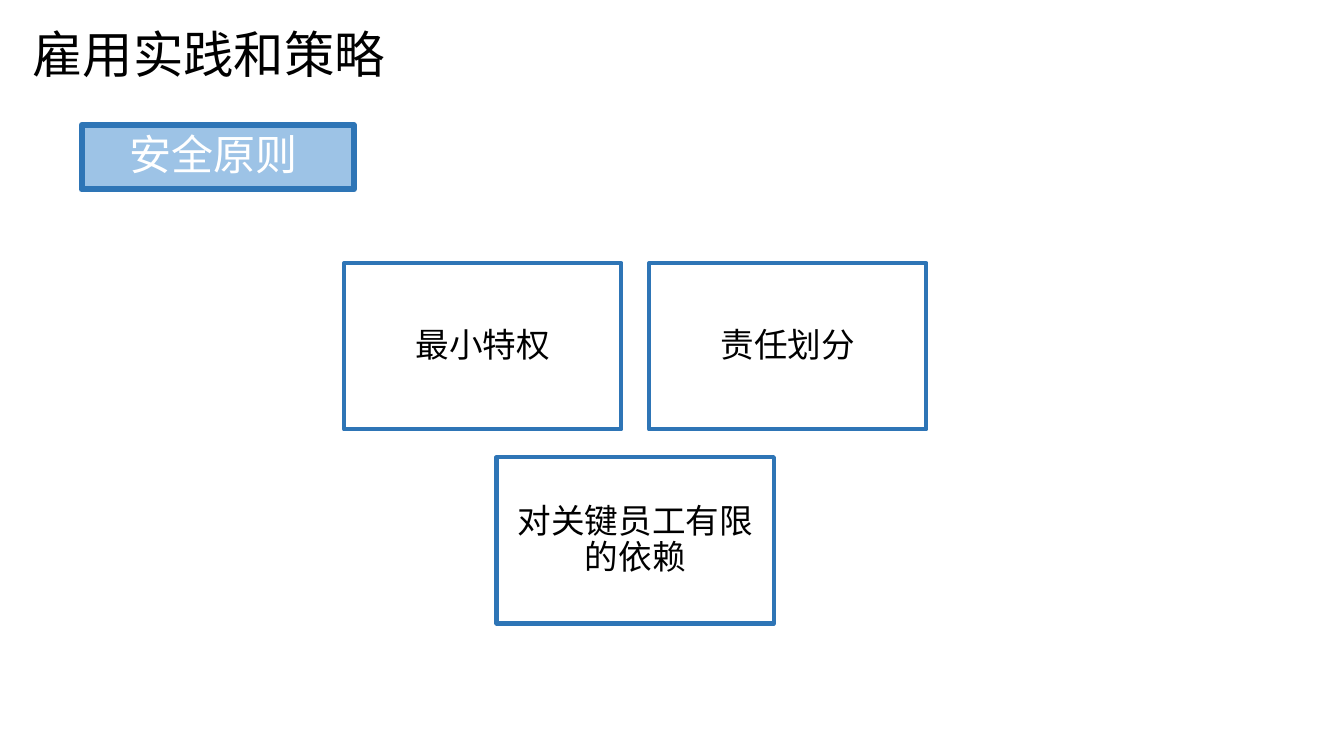
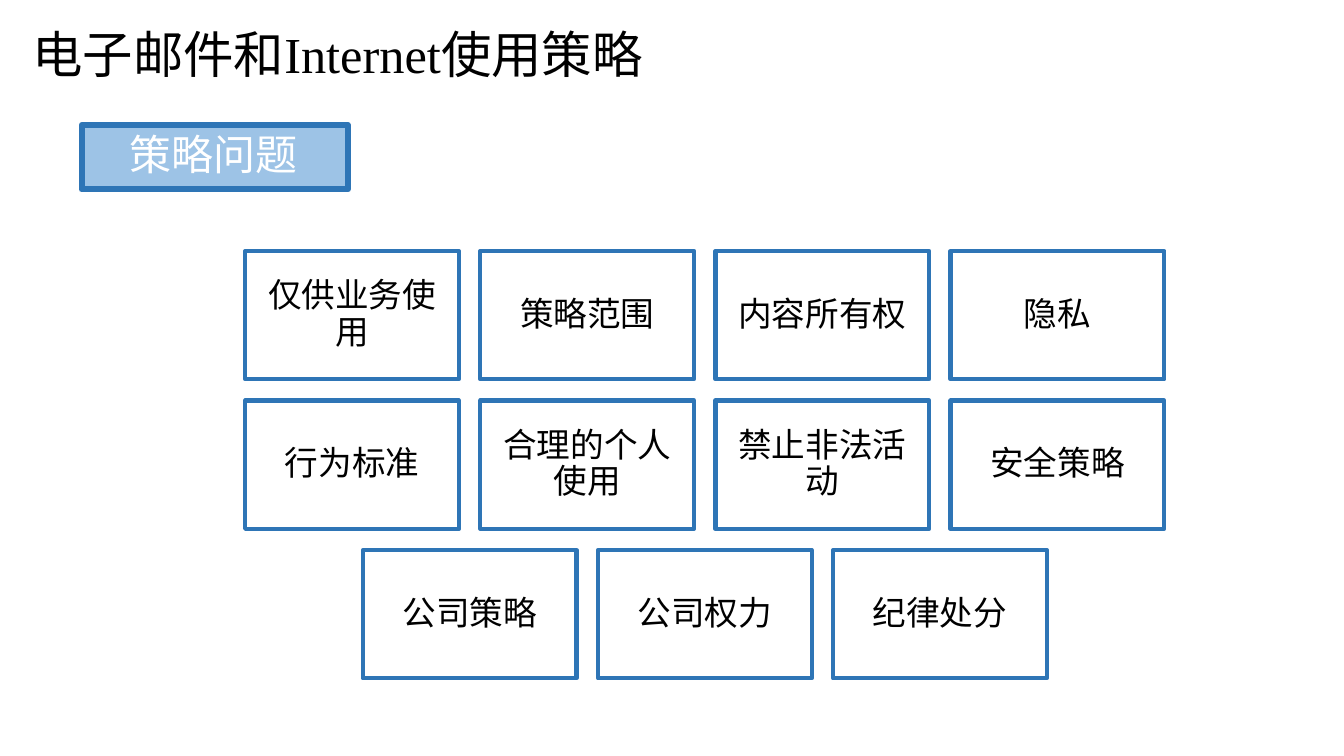
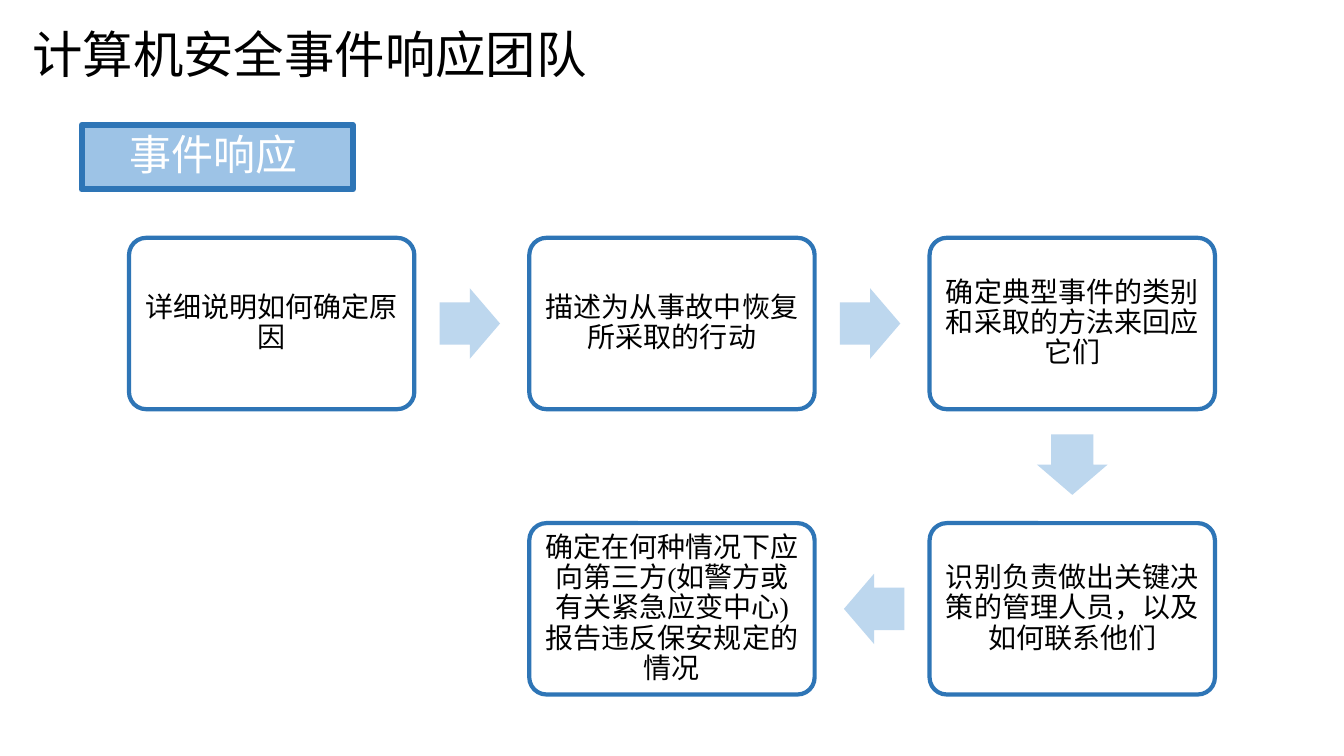
from dataclasses import dataclass

import pptx
import pptx.dml.color
import pptx.enum.shapes
import pptx.enum.text
import pptx.oxml
import pptx.oxml.ns
import pptx.presentation
import pptx.shapes.autoshape
import pptx.slide
import pptx.text.text
import pptx.util
from pptx.dml.color import RGBColor
from pptx.enum.shapes import MSO_SHAPE
from pptx.enum.text import PP_ALIGN
from pptx.util import Inches

BLACK = RGBColor(0x00, 0x00, 0x00)
WHITE = RGBColor(0xFF, 0xFF, 0xFF)
BORDER_BLUE = RGBColor(0x2E, 0x75, 0xB6)
BADGE_BLUE = RGBColor(0x9D, 0xC3, 0xE6)
ARROW_BLUE = RGBColor(0xBD, 0xD7, 0xEE)
LATIN_FONT = "Times New Roman"
CHINESE_FONT = "Noto Sans CJK SC"

ARROW_LENGTH, ARROW_BREADTH, ARROW_GAP = 0.6, 0.7, 0.25
STEP_WIDTH, STEP_HEIGHT = 2.83, 1.7
STEP_LEFT, STEP_TOP = 1.28, 2.36
STEP_PITCH_X, STEP_PITCH_Y = 3.97, 2.83


@dataclass(frozen=True)
class Heading:
    title: str
    title_width: float
    badge: str
    badge_width: float


@dataclass(frozen=True)
class TopicGrid:
    """Rows of topics, each row centred on the same axis."""
    rows: list[list[str]]
    center: float
    top: float
    box_width: float


@dataclass(frozen=True)
class Step:
    text: str
    column: int
    row: int


PRINCIPLES = TopicGrid([["最小特权", "责任划分"], ["对关键员工有限的依赖"]],
                       center=6.3, top=2.61, box_width=2.75)
POLICY_ISSUES = TopicGrid([
    ["仅供业务使用", "策略范围", "内容所有权", "隐私"],
    ["行为标准", "合理的个人使用", "禁止非法活动", "安全策略"],
    ["公司策略", "公司权力", "纪律处分"],
], center=6.99, top=2.49, box_width=2.12)
RESPONSE_STEPS = [
    Step("详细说明如何确定原因", 0, 0),
    Step("描述为从事故中恢复所采取的行动", 1, 0),
    Step("确定典型事件的类别和采取的方法来回应它们", 2, 0),
    Step("识别负责做出关键决策的管理人员，以及如何联系他们", 2, 1),
    Step("确定在何种情况下应向第三方(如警方或有关紧急应变中心)报告违反保安规定的情况", 1, 1),
]


def write(frame: pptx.text.text.TextFrame, text: str, size: float, color: RGBColor,
          align: PP_ALIGN, inset_x: float, inset_y: float, spacing: float = 0.9) -> None:
    frame.word_wrap = True
    frame.vertical_anchor = pptx.enum.text.MSO_ANCHOR.MIDDLE
    frame.margin_left = frame.margin_right = Inches(inset_x)
    frame.margin_top = frame.margin_bottom = Inches(inset_y)
    paragraph = frame.paragraphs[0]
    paragraph.alignment = align
    paragraph.line_spacing = spacing
    run = paragraph.add_run()
    run.text = text
    run.font.size = pptx.util.Pt(size)
    run.font.color.rgb = color
    run.font.name = LATIN_FONT
    east_asian = pptx.oxml.parse_xml(
        f'<a:ea {pptx.oxml.ns.nsdecls("a")} typeface="{CHINESE_FONT}"/>')
    run.font._element.append(east_asian)


def add_box(slide: pptx.slide.Slide, kind: MSO_SHAPE, left: float, top: float,
            width: float, height: float, fill: RGBColor | None = None,
            line_width: float = 0) -> pptx.shapes.autoshape.Shape:
    box = slide.shapes.add_shape(kind, Inches(left), Inches(top), Inches(width), Inches(height))
    box.shadow.inherit = False
    if fill is None:
        box.fill.background()
    else:
        box.fill.solid()
        box.fill.fore_color.rgb = fill
    if line_width:
        box.line.color.rgb = BORDER_BLUE
        box.line.width = pptx.util.Pt(line_width)
    else:
        box.line.fill.background()
    return box


def add_headed_slide(deck: pptx.presentation.Presentation, heading: Heading) -> pptx.slide.Slide:
    slide = deck.slides.add_slide(deck.slide_layouts[6])
    title = slide.shapes.add_textbox(Inches(0.21), Inches(0),
                                     Inches(heading.title_width), Inches(1.06))
    write(title.text_frame, heading.title, 36, BLACK, PP_ALIGN.LEFT, 0.11, 0.06, spacing=1.0)
    badge = add_box(slide, MSO_SHAPE.RECTANGLE, 0.81, 1.24, heading.badge_width, 0.64,
                    BADGE_BLUE, 4.33)
    write(badge.text_frame, heading.badge, 30, WHITE, PP_ALIGN.LEFT, 0.47, 0)
    return slide


def draw_topics(slide: pptx.slide.Slide, grid: TopicGrid) -> None:
    width, height, gap = grid.box_width, grid.box_width * 0.6, grid.box_width * 0.1
    for row_index, topics in enumerate(grid.rows):
        row_left = grid.center - (len(topics) * (width + gap) - gap) / 2
        top = grid.top + row_index * (height + gap)
        for column, topic in enumerate(topics):
            box = add_box(slide, MSO_SHAPE.RECTANGLE, row_left + column * (width + gap), top,
                          width, height, line_width=3)
            write(box.text_frame, topic, 24, BLACK, PP_ALIGN.CENTER, 0.1, 0.1)


def draw_arrow(slide: pptx.slide.Slide, start: Step, end: Step) -> None:
    """Place an arrow a fixed gap beyond the edge of the step it leaves."""
    right, down = end.column - start.column, end.row - start.row
    reach = ARROW_GAP + ARROW_LENGTH / 2
    center_x = (STEP_LEFT + start.column * STEP_PITCH_X + STEP_WIDTH / 2
                + right * (STEP_WIDTH / 2 + reach))
    center_y = (STEP_TOP + start.row * STEP_PITCH_Y + STEP_HEIGHT / 2
                + down * (STEP_HEIGHT / 2 + reach))
    arrow = add_box(slide, MSO_SHAPE.RIGHT_ARROW, center_x - ARROW_LENGTH / 2,
                    center_y - ARROW_BREADTH / 2, ARROW_LENGTH, ARROW_BREADTH, ARROW_BLUE)
    arrow.adjustments[0] = 0.6
    arrow.adjustments[1] = 0.5
    arrow.rotation = {(1, 0): 0, (0, 1): 90, (-1, 0): 180}[right, down]


def draw_steps(slide: pptx.slide.Slide, steps: list[Step]) -> None:
    for step, following in zip(steps, [*steps[1:], None]):
        box = add_box(slide, MSO_SHAPE.ROUNDED_RECTANGLE,
                      STEP_LEFT + step.column * STEP_PITCH_X,
                      STEP_TOP + step.row * STEP_PITCH_Y,
                      STEP_WIDTH, STEP_HEIGHT, line_width=3)
        box.adjustments[0] = 0.1
        write(box.text_frame, step.text, 20, BLACK, PP_ALIGN.CENTER, 0.08, 0.08)
        if following:
            draw_arrow(slide, step, following)


def main() -> None:
    deck = pptx.Presentation()
    deck.slide_width, deck.slide_height = Inches(13.33), Inches(7.5)
    draw_topics(add_headed_slide(deck, Heading("雇用实践和策略", 5.91, "安全原则", 2.7)),
                PRINCIPLES)
    draw_topics(add_headed_slide(deck, Heading("电子邮件和Internet使用策略", 6.78, "策略问题", 2.64)),
                POLICY_ISSUES)
    draw_steps(add_headed_slide(deck, Heading("计算机安全事件响应团队", 6.78, "事件响应", 2.69)),
               RESPONSE_STEPS)
    deck.save("out.pptx")


if __name__ == "__main__":
    main()
